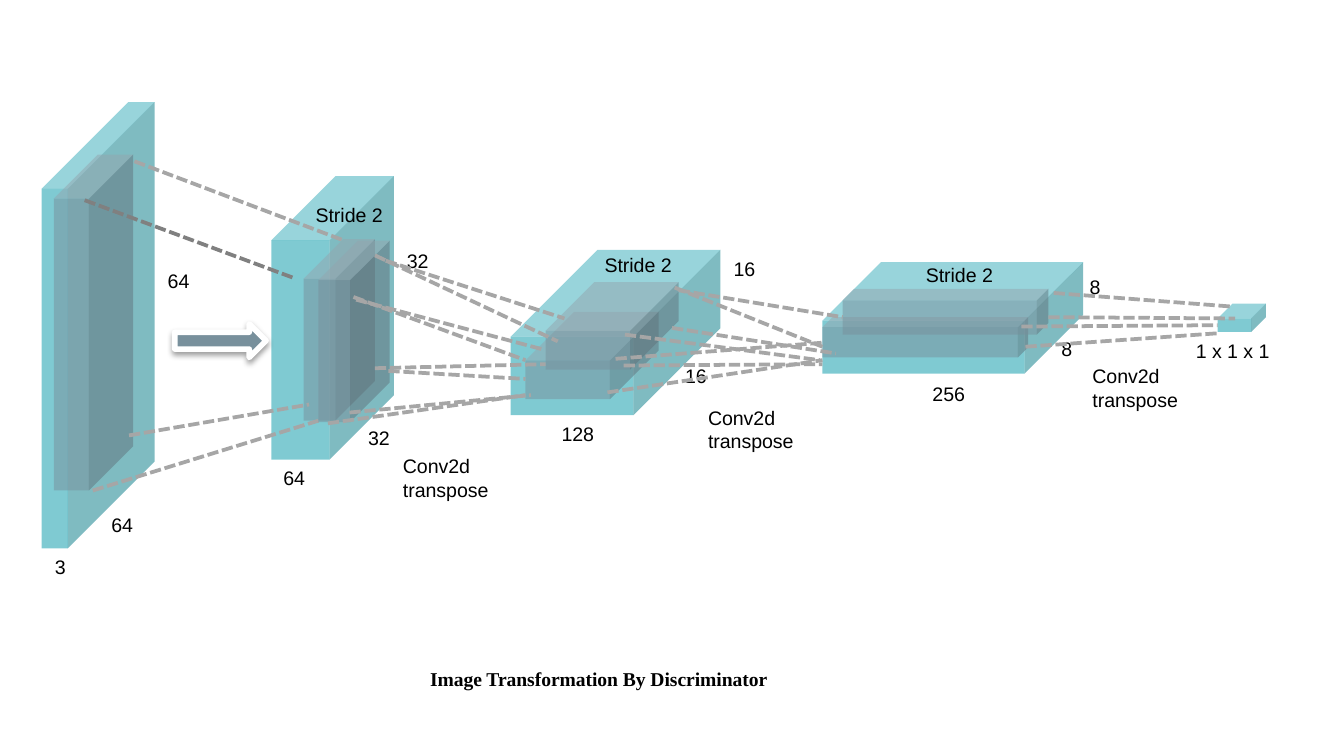
from lxml.etree import SubElement
from pptx import Presentation
from pptx.dml.color import RGBColor
from pptx.enum.dml import MSO_LINE as Dash
from pptx.enum.shapes import MSO_CONNECTOR as Conn, MSO_SHAPE as Kind
from pptx.enum.text import MSO_ANCHOR as Anchor, MSO_AUTO_SIZE as Fit, PP_ALIGN as Align
from pptx.oxml.ns import qn
from pptx.util import Inches, Pt

TEAL = RGBColor(0x00, 0x97, 0xA7)
SLATE = RGBColor(0x78, 0x90, 0x9C)
GRAY = RGBColor(0xA6, 0xA6, 0xA6)
DARK = RGBColor(0x80, 0x80, 0x80)
BLACK = RGBColor(0, 0, 0)
WHITE = RGBColor(255, 255, 255)

# Each stage: box, cube depth, size labels, filter patches, stride and conv spots.
# All offsets start at the top left corner of the stage box.
STAGES = [
    dict(box=(0.31, 0.76, 0.84, 3.32), depth=0.768,
         sizes=[("3", 0, 3.32), ("64", 0.42, 3.01), ("64", 0.84, 1.19)],
         patches=[(0.09, 0.39, 0.59, 2.5, 0.556)]),
    dict(box=(2.02, 1.31, 0.91, 2.11),
         sizes=[("64", -0.01, 2.11), ("32", 0.62, 1.81), ("32", 0.91, 0.49)],
         patches=[(0.24, 0.47, 0.53, 1.35, 0.556)],
         front=(0.35, 0.48, 0.53, 1.35, 0.556),
         stride=(0.23, 0.15), conv=(0.88, 2.02)),
    dict(box=(3.8, 1.86, 1.56, 1.23),
         sizes=[("128", 0.28, 1.23), ("16", 1.2, 0.8), ("16", 1.56, 0)],
         patches=[(0.11, 0.46, 0.99, 0.65, 0.556)],
         front=(0.26, 0.24, 0.99, 0.65, 0.556),
         stride=(0.6, -0.03), conv=(1.37, 1.11)),
    dict(box=(6.12, 1.95, 1.94, 0.83),
         sizes=[("256", 0.72, 0.84), ("8", 1.68, 0.51), ("8", 1.89, 0.05)],
         patches=[(0, 0.41, 1.53, 0.3, 0.25), (0.15, 0.2, 1.53, 0.34, 0.25)],
         stride=(0.67, -0.04), conv=(1.91, 0.71)),
    dict(box=(9.06, 2.26, 0.36, 0.21), sizes=[("1 x 1 x 1", -0.26, 0.21)]),
]

# Rays leaving each stage: start x, y and end x, y from that stage's corner
RAYS = [
    [(0.38, 2.89, 2.06, 2.37), (0.69, 0.44, 2.25, 1.03),
     (0.32, 0.73, 1.88, 1.31, DARK), (0.65, 2.48, 1.99, 2.25)],
    [(0.58, 1.76, 1.93, 1.63), (0.77, 1.43, 2.04, 1.4),
     (0.77, 0.59, 2.13, 1.23), (0.61, 0.9, 1.89, 1.37),
     (0.63, 0.92, 2.02, 1.29), (0.85, 0.63, 2.18, 1.06),
     (0.42, 1.84, 1.89, 1.63), (0.87, 1.45, 1.89, 1.51)],
    [(1.22, 0.28, 2.32, 0.72), (0.85, 0.63, 2.3, 0.82),
     (0.84, 0.86, 2.32, 0.85), (1.2, 0.58, 2.42, 0.77),
     (0.72, 1.06, 2.32, 0.82), (0.78, 0.81, 2.32, 0.69),
     (1.25, 0.3, 2.47, 0.5)],
    [(1.51, 0.63, 2.94, 0.53), (1.68, 0.41, 3.07, 0.42),
     (1.72, 0.23, 3.03, 0.33), (1.48, 0.48, 2.94, 0.47)],
]


def write(frame, text, font="Arial", size=10.5, color=BLACK, bold=False,
          wrap=True, fit=Fit.SHAPE_TO_FIT_TEXT):
    frame.text = text
    frame.word_wrap = wrap
    frame.auto_size = fit
    frame.vertical_anchor = Anchor.TOP
    for para in frame.paragraphs:
        para.alignment = Align.LEFT
        style = para.runs[0].font
        style.name, style.size, style.bold = font, Pt(size), bold
        style.color.rgb = color


def label(slide, text, x, y, w, h=0.28, **style):
    box = slide.shapes.add_textbox(Inches(x), Inches(y), Inches(w), Inches(h))
    write(box.text_frame, text, **style)


def cube(slide, x, y, w, h, depth, color):
    solid = slide.shapes.add_shape(
        Kind.CUBE, Inches(x), Inches(y), Inches(w), Inches(h))
    solid.adjustments[0] = depth
    solid.shadow.inherit = False
    solid.fill.solid()
    solid.fill.fore_color.rgb = color
    solid.line.fill.background()
    # Half transparent fill
    tint = solid._element.spPr.find(qn("a:solidFill"))[0]
    SubElement(tint, qn("a:alpha"), val="50000")


def patch(slide, box, part):
    dx, dy, w, h, depth = part
    cube(slide, box[0] + dx, box[1] + dy, w, h, depth, SLATE)


def stage(slide, box, depth=0.525, sizes=(), patches=(), front=None,
          stride=None, conv=None):
    x, y, w, h = box
    cube(slide, x, y, w, h, depth, TEAL)
    for text, dx, dy in sizes:
        wide = 0.76 if " " in text else 0.2 + 0.085 * len(text)
        label(slide, text, x + dx, y + dy, wide, wrap=False)
    for part in patches:
        patch(slide, box, part)
    if stride:
        label(slide, "Stride 2", x + stride[0], y + stride[1], 0.99)
    if conv:
        label(slide, "Conv2d\ntranspose", x + conv[0], y + conv[1], 0.99, 0.45)


def link(slide, box, rays):
    x, y = box[:2]
    for x1, y1, x2, y2, *tone in rays:
        ray = slide.shapes.add_connector(
            Conn.STRAIGHT, Inches(x + x1), Inches(y + y1),
            Inches(x + x2), Inches(y + y2))
        ray.line.color.rgb = tone[0] if tone else GRAY
        ray.line.width = Pt(2)
        ray.line.dash_style = Dash.SQUARE_DOT
        props = ray._element.spPr
        # Short dashes in place of dots
        props.find(".//" + qn("a:prstDash")).set("val", "sysDash")
        SubElement(props, qn("a:effectLst"))


def arrow(slide, box):
    shape = slide.shapes.add_shape(Kind.RIGHT_ARROW, *map(Inches, box))
    shape.fill.solid()
    shape.fill.fore_color.rgb = SLATE
    shape.line.color.rgb = WHITE
    shape.line.width = Pt(3)
    # Soft shadow below
    shape.shadow.inherit = False
    effects = shape._element.spPr.find(qn("a:effectLst"))
    shade = SubElement(effects, qn("a:outerShdw"), blurRad="40000",
                       dist="20000", dir="5400000", rotWithShape="0")
    tint = SubElement(shade, qn("a:srgbClr"), val="000000")
    SubElement(tint, qn("a:alpha"), val="38000")


def caption(slide, box):
    title = slide.shapes.title
    title.left, title.top, title.width, title.height = map(Inches, box)
    write(title.text_frame, "Image Transformation By Discriminator",
          font="Times New Roman", bold=True, fit=Fit.NONE)


def main():
    deck = Presentation()
    # Widescreen, 16 to 9
    deck.slide_width = Inches(10)
    deck.slide_height = deck.slide_width * 9 // 16
    slide = deck.slides.add_slide(deck.slide_layouts[5])

    caption(slide, (3.1, 4.91, 4.49, 0.28))
    for item in STAGES:
        stage(slide, **item)
    arrow(slide, (1.3, 2.41, 0.68, 0.25))

    # Front patches lie over the first rays and under the others
    link(slide, STAGES[0]["box"], RAYS[0])
    for item in STAGES:
        if "front" in item:
            patch(slide, item["box"], item["front"])
    for item, rays in zip(STAGES[1:], RAYS[1:]):
        link(slide, item["box"], rays)

    deck.save("out.pptx")


if __name__ == "__main__":
    main()
